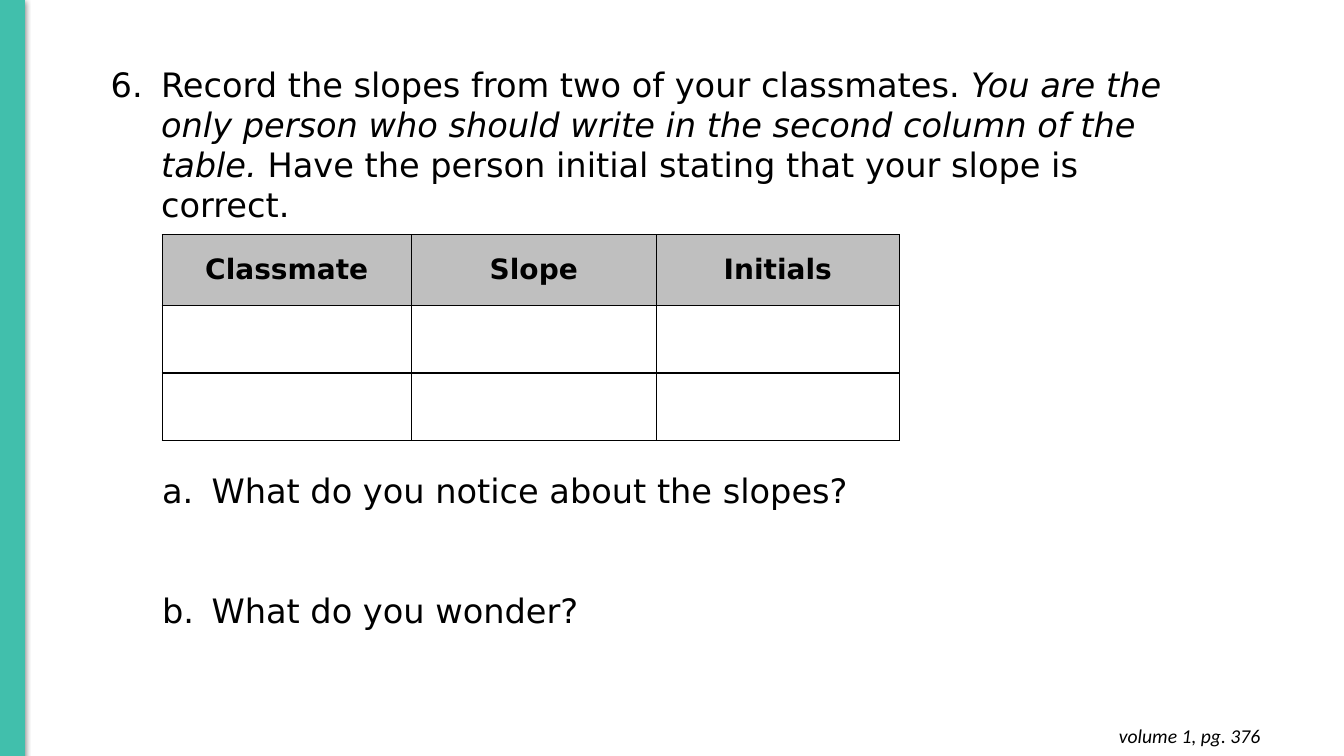
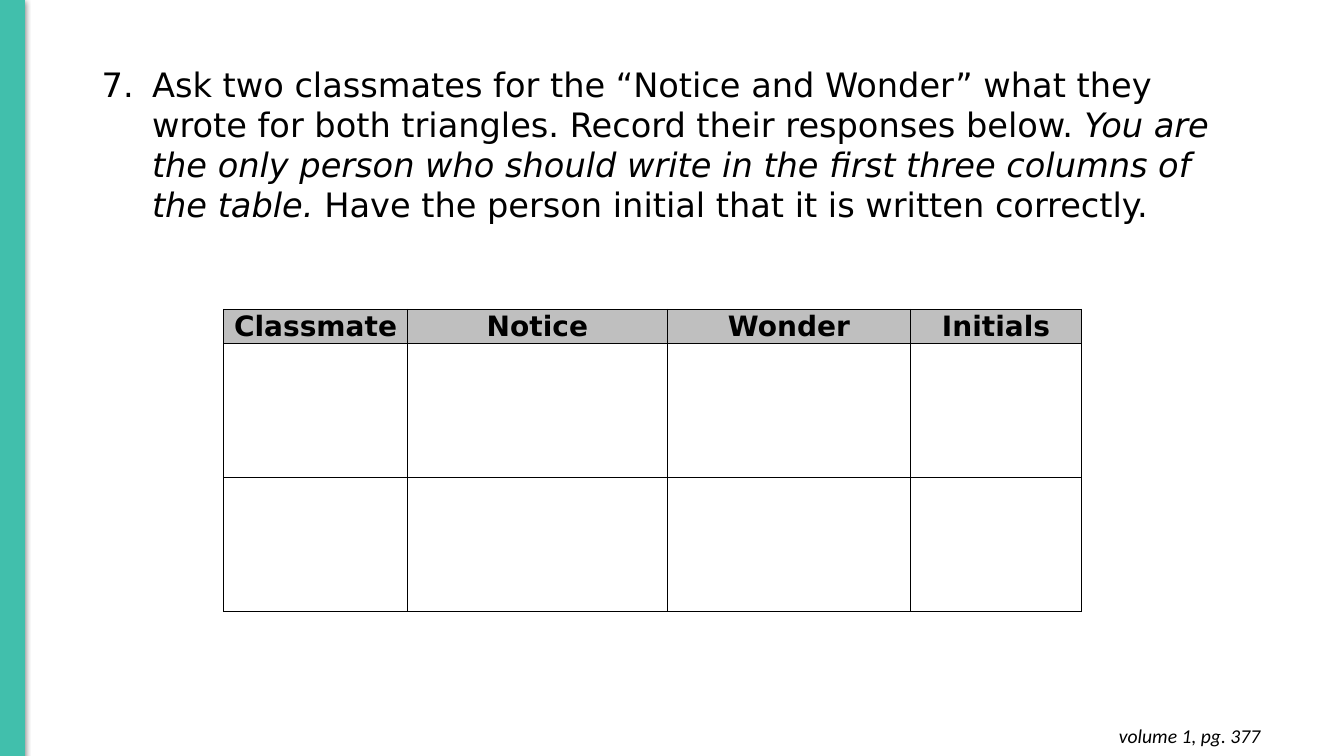
from lxml.etree import SubElement
from pptx import Presentation
from pptx.dml.color import RGBColor
from pptx.enum.shapes import MSO_SHAPE
from pptx.enum.text import MSO_ANCHOR, PP_ALIGN
from pptx.oxml.ns import qn
from pptx.util import Inches, Pt

BLACK = RGBColor(0x00, 0x00, 0x00)
TEAL = RGBColor(0x41, 0xBF, 0xAC)
HEADER_GRAY = RGBColor(0xBF, 0xBF, 0xBF)
BODY_FONT = "DejaVu Sans"
FOOTER_FONT = "Calibri"


def add_run(paragraph, text, size, font=BODY_FONT, bold=False, italic=False):
    run = paragraph.add_run()
    run.text = text
    run.font.name = font
    run.font.size = Pt(size)
    run.font.bold = bold
    run.font.italic = italic
    run.font.color.rgb = BLACK


def add_text_box(slide, left, top, width, height):
    box = slide.shapes.add_textbox(Inches(left), Inches(top), Inches(width), Inches(height))
    box.text_frame.word_wrap = True
    return box.text_frame


def add_color(parent, color, **modifiers):
    element = SubElement(parent, qn("a:srgbClr"), val=str(color))
    for name, value in modifiers.items():
        SubElement(element, qn(f"a:{name}"), val=str(value))


def set_number(paragraph, scheme, margin, hanging, start=1):
    """Number a paragraph automatically, with a hanging indent in inches."""
    properties = paragraph._p.get_or_add_pPr()
    properties.set("marL", str(Inches(margin)))
    properties.set("indent", str(-Inches(hanging)))
    add_color(SubElement(properties, qn("a:buClr")), BLACK)
    SubElement(properties, qn("a:buFont"), typeface=BODY_FONT)
    number = SubElement(properties, qn("a:buAutoNum"), type=scheme)
    if start > 1:
        number.set("startAt", str(start))


def add_side_band(slide):
    band = slide.shapes.add_shape(MSO_SHAPE.RECTANGLE, 0, 0, Inches(0.24), Inches(7.51))
    band.fill.solid()
    band.fill.fore_color.rgb = TEAL
    band.line.color.rgb = TEAL
    band.line.width = Pt(0.75)
    band.shadow.inherit = False
    effects = band._element.spPr.find(qn("a:effectLst"))
    shadow = SubElement(effects, qn("a:outerShdw"), blurRad=str(Pt(4.5)),
                        dist=str(Pt(1.5)), dir="5400000", rotWithShape="0")
    add_color(shadow, BLACK, alpha=50000)


def add_footer(slide, page):
    frame = add_text_box(slide, 9.72, 7.08, 2.88, 0.44)
    frame.margin_left = frame.margin_right = Inches(0.1)
    frame.margin_top = frame.margin_bottom = Inches(0.1)
    paragraph = frame.paragraphs[0]
    paragraph.alignment = PP_ALIGN.RIGHT
    add_run(paragraph, f"volume 1, pg. {page}", 14, FOOTER_FONT, italic=True)


def add_prompt(slide, left, width, number, parts):
    """Write the numbered task; every second part is in italics."""
    paragraph = add_text_box(slide, left, 0.58, width, 2.12).paragraphs[0]
    set_number(paragraph, "arabicPeriod", 0.5, 0.5, number)
    for index, part in enumerate(parts):
        add_run(paragraph, part, 24, italic=index % 2 == 1)


def add_questions(slide, left, top, width, height, questions):
    frame = add_text_box(slide, left, top, width, height)
    for index, question in enumerate(questions):
        paragraph = frame.add_paragraph() if index else frame.paragraphs[0]
        if index:
            paragraph.space_before = Pt(57)
        set_number(paragraph, "alphaLcPeriod", 1, 0.49)
        add_run(paragraph, question, 24)


def set_borders(cell):
    properties = cell._tc.get_or_add_tcPr()
    for side in ("lnL", "lnR", "lnT", "lnB"):
        line = SubElement(properties, qn(f"a:{side}"), w=str(Pt(1)))
        add_color(SubElement(line, qn("a:solidFill")), BLACK)


def add_record_table(slide, left, top, columns, header_height, row_height):
    """Draw a header row and two empty rows; columns pairs headings with widths."""
    heights = (header_height, row_height, row_height)
    frame = slide.shapes.add_table(
        len(heights), len(columns), Inches(left), Inches(top),
        Inches(sum(width for _, width in columns)), Inches(sum(heights)))
    table = frame.table
    table.first_row = table.horz_banding = False
    for row, height in zip(table.rows, heights):
        row.height = Inches(height)
    for cell in table.iter_cells():
        set_borders(cell)
        cell.fill.background()
    for index, (heading, width) in enumerate(columns):
        table.columns[index].width = Inches(width)
        cell = table.cell(0, index)
        cell.fill.solid()
        cell.fill.fore_color.rgb = HEADER_GRAY
        cell.vertical_anchor = MSO_ANCHOR.MIDDLE
        cell.margin_left = cell.margin_right = Inches(0.07)
        cell.margin_top = cell.margin_bottom = 0
        paragraph = cell.text_frame.paragraphs[0]
        paragraph.alignment = PP_ALIGN.CENTER
        add_run(paragraph, heading, 20, bold=True)


def add_page(presentation, page):
    slide = presentation.slides.add_slide(presentation.slide_layouts[6])
    add_footer(slide, page)
    add_side_band(slide)
    return slide


def build_slopes_slide(presentation):
    slide = add_page(presentation, 376)
    add_prompt(slide, 1, 11.16, 6, (
        "Record the slopes from two of your classmates. ",
        "You are the only person who should write in the second column of the table.",
        " Have the person initial stating that your slope is correct."))
    add_record_table(slide, 1.61, 2.33, (
        ("Classmate", 2.47), ("Slope", 2.43), ("Initials", 2.41)), 0.7, 0.67)
    add_questions(slide, 1, 4.61, 11.16, 1.72, (
        "What do you notice about the slopes?", "What do you wonder?"))


def build_responses_slide(presentation):
    slide = add_page(presentation, 377)
    add_prompt(slide, 0.91, 11.26, 7, (
        "Ask two classmates for the “Notice and Wonder” what they wrote for both "
        "triangles. Record their responses below. ",
        "You are the only person who should write in the first three columns of the table.",
        " Have the person initial that it is written correctly."))
    add_record_table(slide, 2.22, 3.07, (
        ("Classmate", 1.82), ("Notice", 2.58), ("Wonder", 2.41), ("Initials", 1.7)),
        0.33, 1.33)


def main():
    presentation = Presentation()
    presentation.slide_width = Inches(13.33)
    presentation.slide_height = Inches(7.5)
    build_slopes_slide(presentation)
    build_responses_slide(presentation)
    presentation.save("out.pptx")


if __name__ == "__main__":
    main()
